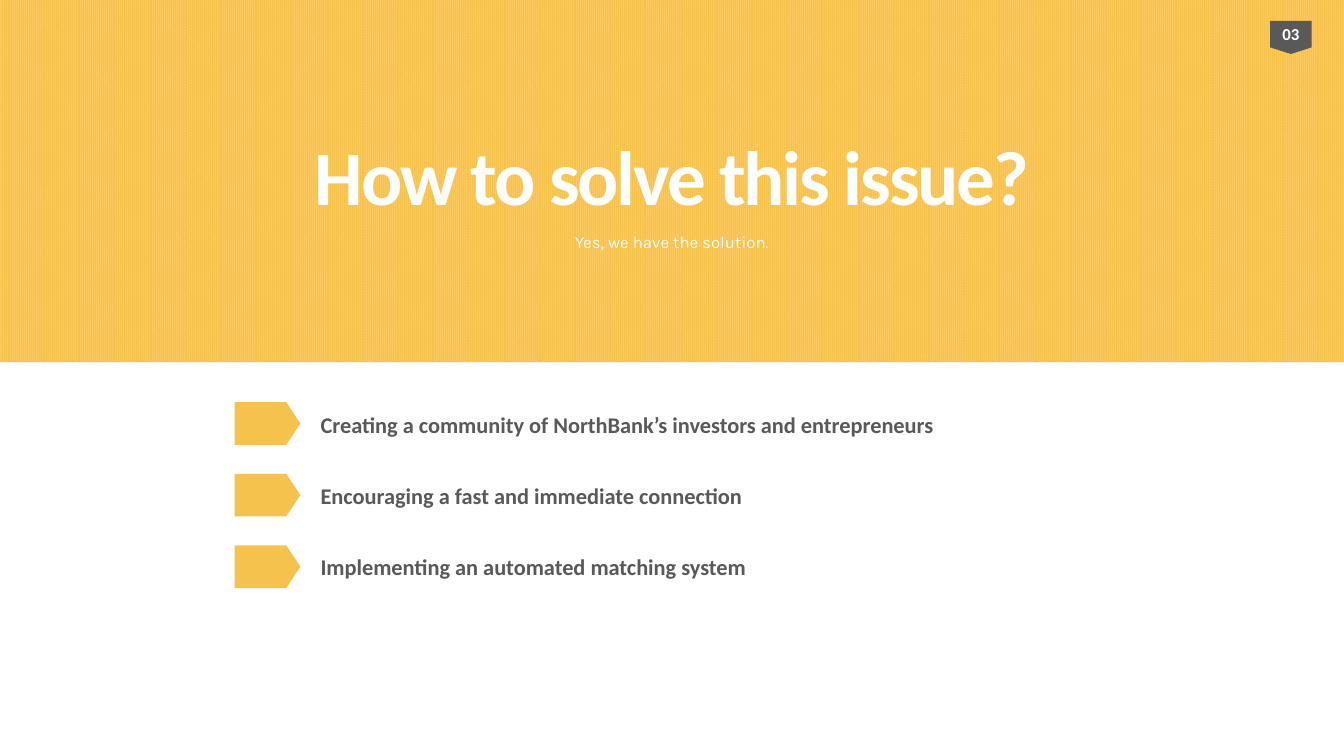
from dataclasses import dataclass

from lxml.etree import SubElement
from pptx import Presentation
from pptx.dml.color import RGBColor as Color
from pptx.enum.dml import MSO_PATTERN as Pattern
from pptx.enum.shapes import MSO_SHAPE as Preset
from pptx.enum.text import MSO_ANCHOR as Anchor, MSO_AUTO_SIZE as AutoSize, PP_ALIGN as Align
from pptx.oxml.ns import qn
from pptx.util import Inches, Pt


@dataclass(frozen=True)
class Theme:
    """Colours, fonts, type sizes in points and slide size."""

    yellow: Color = Color(0xF5, 0xC2, 0x4C)
    light_yellow: Color = Color(0xFF, 0xCC, 0x66)
    grey: Color = Color(0x59, 0x59, 0x59)
    white: Color = Color(0xFF, 0xFF, 0xFF)
    main_font: str = "Calibri"
    subtitle_font: str = "Karla"
    title_size: float = 55
    list_size: float = 16
    small_size: float = 12
    tight: float = -1.5
    width: int = Inches(13.33)
    height: int = Inches(7.5)


THEME = Theme()
SOLUTIONS = (
    "Creating a community of NorthBank’s investors and entrepreneurs",
    "Encouraging a fast and immediate connection",
    "Implementing an automated matching system",
)
ROW_PITCH = 9.47
LINE_HEIGHT = 1.22


def area(left, top, width, height):
    """Turn percentages of the slide into lengths."""
    return (
        round(THEME.width * left / 100),
        round(THEME.height * top / 100),
        round(THEME.width * width / 100),
        round(THEME.height * height / 100),
    )


def place(shape, box):
    """Move and resize a shape."""
    shape.left, shape.top, shape.width, shape.height = box


def add_run(paragraph, text, size, color, font=THEME.main_font, bold=True, spacing=0):
    """Append one formatted run."""
    run = paragraph.add_run()
    run.text = text
    run.font.name = font
    run.font.size = Pt(size)
    run.font.bold = bold
    run.font.color.rgb = color
    if spacing:
        run.font._element.set("spc", str(round(spacing * 100)))


def prepare_text(shape, align, anchor=Anchor.TOP, wrap=True):
    """Set up a text frame and return its first paragraph."""
    frame = shape.text_frame
    frame.auto_size = AutoSize.NONE
    frame.word_wrap = wrap
    frame.vertical_anchor = anchor
    paragraph = frame.paragraphs[0]
    paragraph.alignment = align
    paragraph.space_before = Pt(0)
    return paragraph


def add_block(slide, preset, box, color):
    """Add a flat shape without outline or shadow."""
    shape = slide.shapes.add_shape(preset, *box)
    shape.shadow.inherit = False
    shape.fill.solid()
    shape.fill.fore_color.rgb = color
    shape.line.fill.background()
    return shape


def add_banner(slide):
    """Add the patterned banner behind the title."""
    banner = add_block(slide, Preset.RECTANGLE, area(0, 0, 100, 47.9), THEME.yellow)
    banner.fill.patterned()
    banner.fill.pattern = Pattern.PERCENT_90
    banner.fill.fore_color.rgb = THEME.yellow
    banner.fill.back_color.rgb = THEME.light_yellow
    slide.shapes.title.element.addprevious(banner.element)


def fill_title(slide, text):
    """Place and write the title."""
    title = slide.shapes.title
    place(title, area(12.5, 16.3, 75, 12.5))
    paragraph = prepare_text(title, Align.CENTER)
    add_run(paragraph, text, THEME.title_size, THEME.white, spacing=THEME.tight)


def add_subtitle(slide, text):
    """Add the line under the title."""
    subtitle = slide.shapes.add_textbox(*area(31.85, 30, 36.3, 12.5))
    paragraph = prepare_text(subtitle, Align.CENTER)
    add_run(paragraph, text, THEME.small_size, THEME.white, THEME.subtitle_font, bold=False)


def fill_list(slide, items):
    """Write the list in the body placeholder with an arrow per row."""
    body = slide.placeholders[1]
    place(body, area(23.1, 53.75, 60, 24))
    prepare_text(body, Align.LEFT)
    frame = body.text_frame
    pitch = THEME.height * ROW_PITCH / 100
    gap = Pt(pitch / Pt(1) - THEME.list_size * LINE_HEIGHT)
    for row, item in enumerate(items):
        paragraph = frame.add_paragraph() if row else frame.paragraphs[0]
        paragraph.alignment = Align.LEFT
        paragraph.space_before = gap if row else Pt(0)
        properties = paragraph._p.get_or_add_pPr()
        properties.set("marL", "0")
        properties.set("indent", "0")
        SubElement(properties, qn("a:buNone"))
        add_run(paragraph, item, THEME.list_size, THEME.grey)
        box = area(17.45, 53.2 + row * ROW_PITCH, 4.9, 5.65)
        arrow = add_block(slide, Preset.PENTAGON, box, THEME.yellow)
        arrow.adjustments[0] = 0.33


def add_page_tag(slide, number):
    """Add the page number tag."""
    box = area(94.5, 2.75, 3.1, 4.4)
    tag = add_block(slide, Preset.FLOWCHART_OFFPAGE_CONNECTOR, box, THEME.grey)
    paragraph = prepare_text(tag, Align.CENTER, Anchor.MIDDLE, wrap=False)
    add_run(paragraph, number, THEME.small_size, THEME.white)


def main():
    """Build and save the slide."""
    presentation = Presentation()
    presentation.slide_width = THEME.width
    presentation.slide_height = THEME.height
    slide = presentation.slides.add_slide(presentation.slide_layouts[1])
    add_banner(slide)
    fill_title(slide, "How to solve this issue?")
    add_subtitle(slide, "Yes, we have the solution.")
    fill_list(slide, SOLUTIONS)
    add_page_tag(slide, "03")
    presentation.save("out.pptx")


if __name__ == "__main__":
    main()
